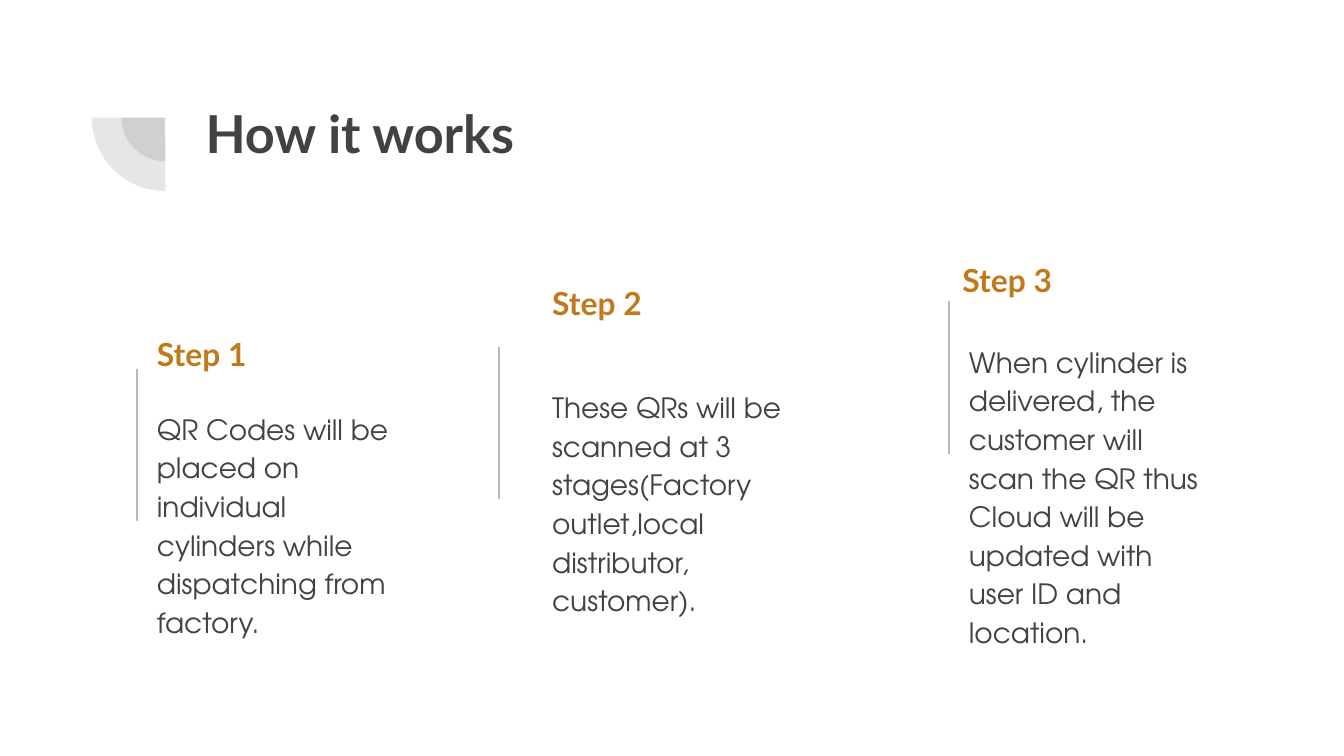
"""Build the "How it works" slide with three rising steps."""
from lxml import etree
from pptx import Presentation
from pptx.dml.color import RGBColor
from pptx.enum.shapes import MSO_CONNECTOR, MSO_SHAPE
from pptx.enum.text import MSO_ANCHOR
from pptx.oxml.ns import qn
from pptx.util import Pt

DARK, ORANGE, GRAY = "424242", "C0791B", "B7B7B7"
STEP_WIDTH, HEADING_HEIGHT, BODY_HEIGHT = 142.5, 31, 45.5
RULE_HEIGHT, RULE_RISE = 81.6, 13.5


def color(value):
    return RGBColor.from_string(value)


def add_text(slide, text, left, top, width, height, font_name, size, fill, bold=False):
    shape = slide.shapes.add_textbox(Pt(left), Pt(top), Pt(width), Pt(height))
    text_frame = shape.text_frame
    text_frame.word_wrap = True
    text_frame.margin_left = text_frame.margin_right = Pt(7.2)
    text_frame.margin_top = text_frame.margin_bottom = Pt(7.2)
    text_frame.text = text
    font = text_frame.paragraphs[0].runs[0].font
    font.name = font_name
    font.size = Pt(size)
    font.bold = bold
    font.color.rgb = color(fill)
    return text_frame


presentation = Presentation()
presentation.slide_width = Pt(720)
presentation.slide_height = Pt(405)
slide = presentation.slides.add_slide(presentation.slide_layouts[6])
slide.background.fill.solid()
slide.background.fill.fore_color.rgb = color("FFFFFF")

center_x, center_y = 88.5, 63
for diameter in (46.8, 78.6):
    pie = slide.shapes.add_shape(
        MSO_SHAPE.PIE,
        Pt(center_x - diameter / 2), Pt(center_y - diameter / 2),
        Pt(diameter), Pt(diameter),
    )
    pie.adjustments[0] = 107.93
    pie.adjustments[1] = 162
    pie.rotation = 270
    pie.shadow.inherit = False
    pie.line.fill.background()
    pie.fill.solid()
    pie.fill.fore_color.rgb = color(DARK)
    fill_color = pie.fill._xPr.find(qn("a:solidFill"))[0]
    etree.SubElement(fill_color, qn("a:alpha"), val="13000")

add_text(slide, "How it works", 103, 46.8, 553.7, 78.5, "Lato", 28, DARK, bold=True)

steps = [
    ("QR Codes will be placed on individual cylinders while dispatching from factory.",
     73.4, 77, 174.2, 77, 211),
    ("These QRs will be scanned at 3 stages(Factory outlet,local distributor, customer).",
     267.3, 288.7, 146.9, 288.7, 199.4),
    ("When cylinder is delivered, the customer will scan the QR thus Cloud will be "
     "updated with user ID and location.",
     508.5, 508.5, 134.6, 512, 175),
]
for number, step in enumerate(steps, start=1):
    body, rule_x, heading_left, heading_top, body_left, body_top = step
    rule_top = body_top - RULE_RISE
    rule = slide.shapes.add_connector(
        MSO_CONNECTOR.STRAIGHT,
        Pt(rule_x), Pt(rule_top), Pt(rule_x), Pt(rule_top + RULE_HEIGHT),
    )
    rule.line.color.rgb = color(GRAY)
    rule.line.width = Pt(0.75)
    etree.SubElement(rule._element.spPr, qn("a:effectLst"))

    heading_frame = add_text(slide, f"Step {number}", heading_left, heading_top,
                             STEP_WIDTH, HEADING_HEIGHT, "Lato", 17, ORANGE, bold=True)
    heading_frame.vertical_anchor = MSO_ANCHOR.MIDDLE

    body_frame = add_text(slide, body, body_left, body_top,
                          STEP_WIDTH, BODY_HEIGHT, "TeX Gyre Adventor", 15, DARK)
    body_frame.paragraphs[0].line_spacing = 1.15
    body_frame.paragraphs[0].space_after = Pt(16)

presentation.save("out.pptx")
